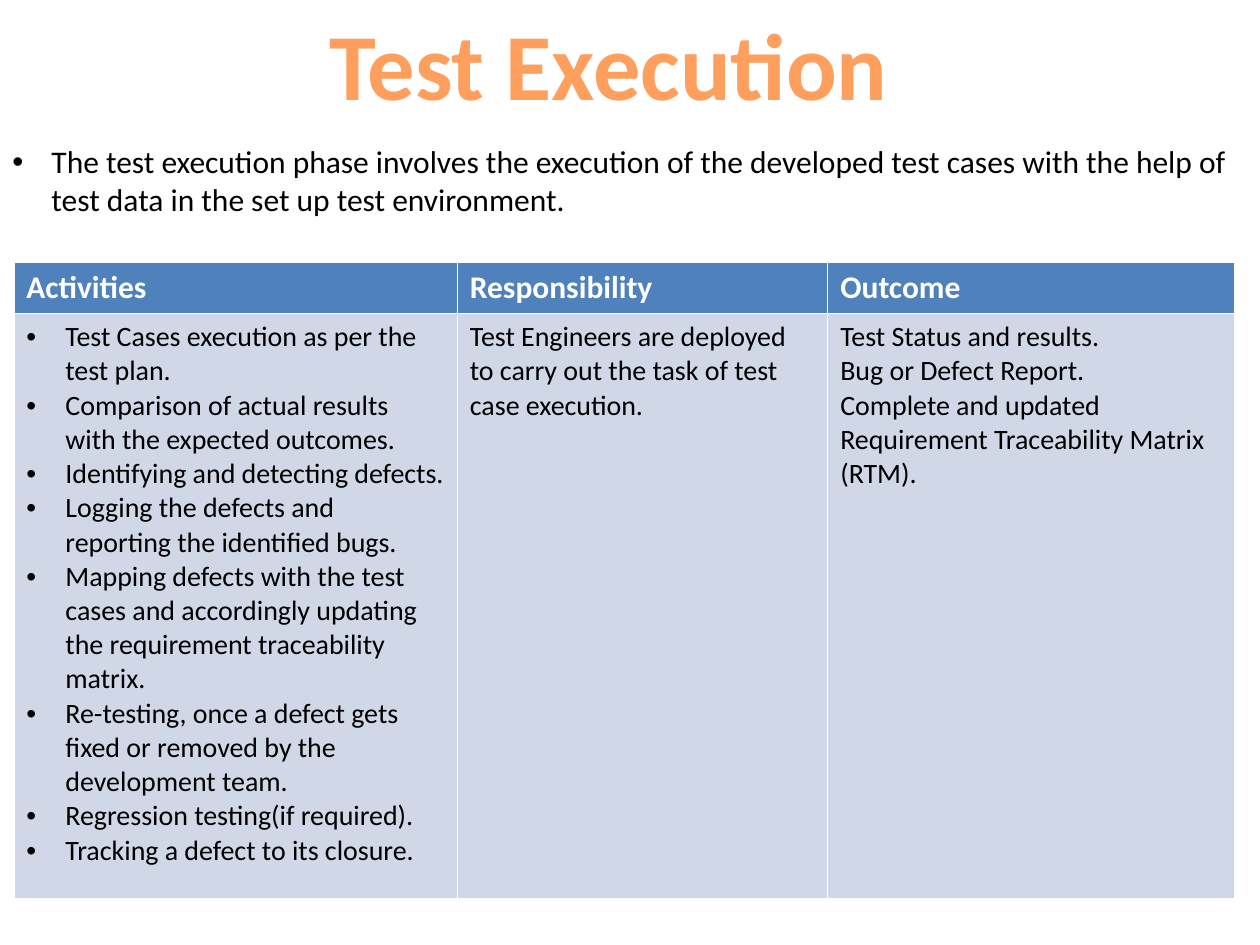
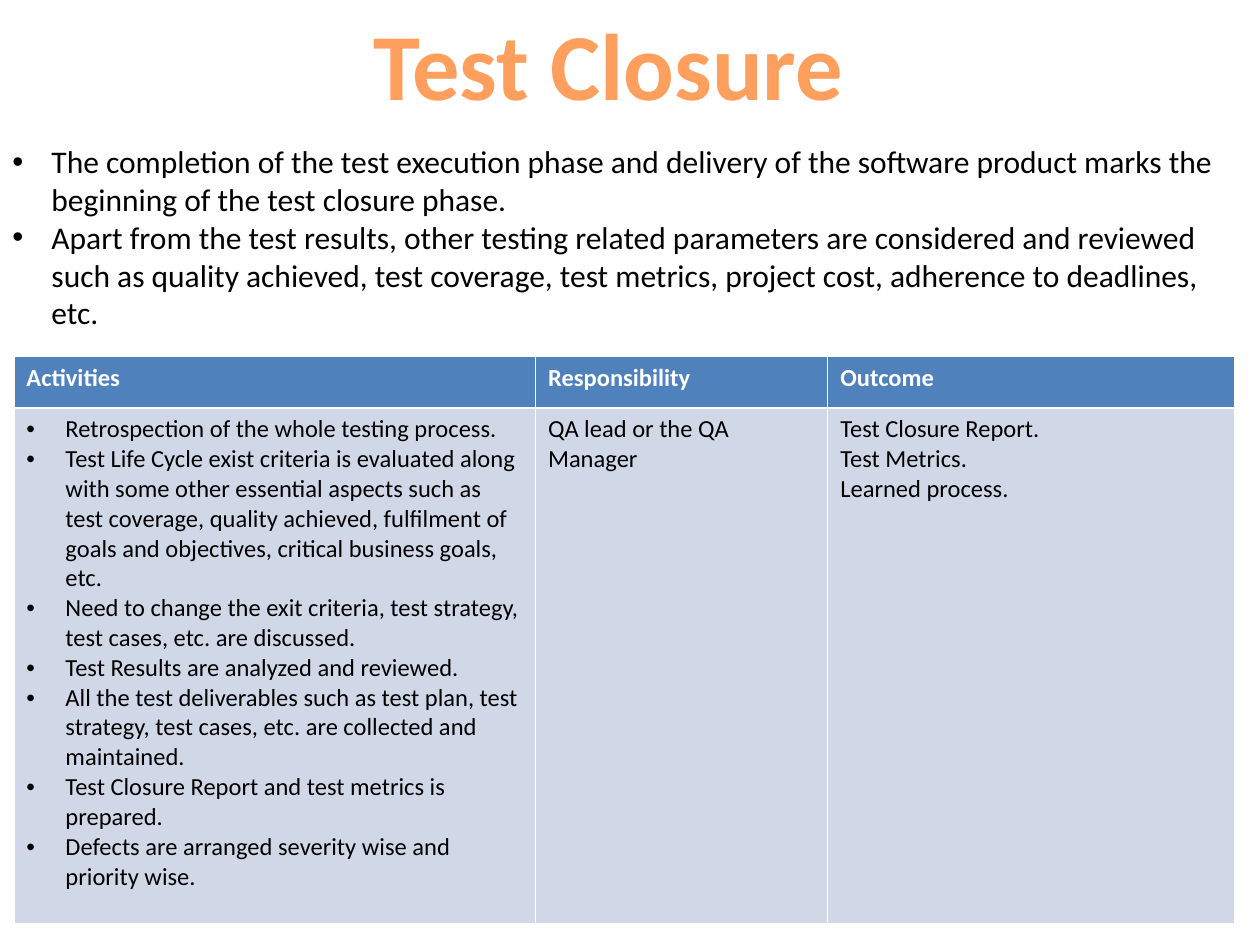
"""Build two slides on the closing phases of software testing."""
import pptx
import pptx.dml.color
import pptx.enum.text
import pptx.oxml.ns
import pptx.util
from lxml import etree
from pptx.util import Inches

FONT = "Calibri"
ORANGE = "FF9F5D"
BLACK = "000000"
WHITE = "FFFFFF"
HEADER_BLUE = "4F81BD"
BODY_BLUE = "D0D8E8"
TITLE_CENTER = 4.83
INDENT = 0.31
TABLE_LEFT = 0.11
HEADER_HEIGHT = 0.41
HEADINGS = ["Activities", "Responsibility", "Outcome"]

EXECUTION = {
    "title": "Test Execution",
    "title_width": 4.69,
    "intro_height": 0.71,
    "intro": [
        "The test execution phase involves the execution of the developed test cases "
        "with the help of test data in the set up test environment.",
    ],
    "table_top": 2.08,
    "body_height": 4.64,
    "column_widths": [3.52, 2.94, 3.23],
    "header_size": 18,
    "body_size": 16,
    "body": [
        [
            "Test Cases execution as per the test plan.",
            "Comparison of actual results with the expected outcomes.",
            "Identifying and detecting defects.",
            "Logging the defects and reporting the identified bugs.",
            "Mapping defects with the test cases and accordingly updating the "
            "requirement traceability matrix.",
            "Re-testing, once a defect gets fixed or removed by the development team.",
            "Regression testing(if required).",
            "Tracking a defect to its closure.",
        ],
        ["Test Engineers are deployed to carry out the task of test case execution."],
        [
            "Test Status and results.",
            "Bug or Defect Report.",
            "Complete and updated Requirement Traceability Matrix (RTM).",
        ],
    ],
}

CLOSURE = {
    "title": "Test Closure",
    "title_width": 3.96,
    "intro_height": 1.92,
    "intro": [
        "The completion of the test execution phase and delivery of the software "
        "product marks the beginning of the test closure phase.",
        "Apart from the test results, other testing related parameters are considered "
        "and reviewed such as quality achieved, test coverage, test metrics, project "
        "cost, adherence to deadlines, etc.",
    ],
    "table_top": 2.83,
    "body_height": 4.09,
    "column_widths": [4.14, 2.32, 3.23],
    "header_size": 14,
    "body_size": 14,
    "body": [
        [
            "Retrospection of the whole testing process.",
            "Test Life Cycle exist criteria is evaluated along with some other essential "
            "aspects such as test coverage, quality achieved, fulfilment of goals and "
            "objectives, critical business goals, etc.",
            "Need to change the exit criteria, test strategy, test cases, etc. are discussed.",
            "Test Results are analyzed and reviewed.",
            "All the test deliverables such as test plan, test strategy, test cases, etc. "
            "are collected and maintained.",
            "Test Closure Report and test metrics is prepared.",
            "Defects are arranged severity wise and priority wise.",
        ],
        ["QA lead or the QA Manager"],
        ["Test Closure Report.", "Test Metrics.", "Learned process."],
    ],
}


def color(hex_string):
    """Return the colour for a hex string."""
    return pptx.dml.color.RGBColor.from_string(hex_string)


def add_bullet(paragraph):
    """Give a paragraph a hanging bullet."""
    properties = paragraph._p.get_or_add_pPr()
    properties.set("marL", str(Inches(INDENT)))
    properties.set("indent", str(-Inches(INDENT)))
    qualify = pptx.oxml.ns.qn
    etree.SubElement(properties, qualify("a:buFont")).set("typeface", "Arial")
    etree.SubElement(properties, qualify("a:buChar")).set("char", "•")


def write_text(text_frame, lines, size=18, fill=BLACK, bold=False, bulleted=False,
               alignment=pptx.enum.text.PP_ALIGN.LEFT):
    """Write one formatted paragraph for each line."""
    for index, line in enumerate(lines):
        paragraph = text_frame.add_paragraph() if index else text_frame.paragraphs[0]
        paragraph.alignment = alignment
        if bulleted:
            add_bullet(paragraph)
        run = paragraph.add_run()
        run.text = line
        run.font.name = FONT
        run.font.size = pptx.util.Pt(size)
        run.font.bold = bold
        run.font.color.rgb = color(fill)


def set_title(slide, text, width):
    """Place and format the slide title."""
    title = slide.shapes.title
    title.left, title.top = Inches(TITLE_CENTER - width / 2), Inches(0)
    title.width, title.height = Inches(width), Inches(1.01)
    text_frame = title.text_frame
    text_frame.word_wrap = False
    text_frame.auto_size = pptx.enum.text.MSO_AUTO_SIZE.NONE
    text_frame.vertical_anchor = pptx.enum.text.MSO_ANCHOR.TOP
    write_text(text_frame, [text], size=54, fill=ORANGE, bold=True,
               alignment=pptx.enum.text.PP_ALIGN.CENTER)


def add_intro(slide, lines, height):
    """Add the bulleted introduction below the title."""
    box = slide.shapes.add_textbox(Inches(0), Inches(1.08), Inches(9.92), Inches(height))
    box.text_frame.word_wrap = True
    write_text(box.text_frame, lines, bulleted=True)


def fill_cell(cell, lines, background, **text_format):
    """Fill a table cell with a colour and text."""
    cell.fill.solid()
    cell.fill.fore_color.rgb = color(background)
    write_text(cell.text_frame, lines, **text_format)


def add_phase_table(slide, phase):
    """Add the table of activities, responsibility and outcome."""
    widths = phase["column_widths"]
    table = slide.shapes.add_table(
        2, len(widths), Inches(TABLE_LEFT), Inches(phase["table_top"]),
        Inches(sum(widths)), Inches(HEADER_HEIGHT + phase["body_height"])).table
    table.rows[0].height = Inches(HEADER_HEIGHT)
    table.rows[1].height = Inches(phase["body_height"])
    for index, (width, heading, lines) in enumerate(zip(widths, HEADINGS, phase["body"])):
        table.columns[index].width = Inches(width)
        fill_cell(table.cell(0, index), [heading], HEADER_BLUE,
                  size=phase["header_size"], fill=WHITE, bold=True)
        fill_cell(table.cell(1, index), lines, BODY_BLUE,
                  size=phase["body_size"], bulleted=index == 0)


def add_phase_slide(presentation, phase):
    """Add the slide for one testing phase."""
    slide = presentation.slides.add_slide(presentation.slide_layouts[5])
    add_intro(slide, phase["intro"], phase["intro_height"])
    set_title(slide, phase["title"], phase["title_width"])
    add_phase_table(slide, phase)


def main():
    """Build and save the presentation."""
    presentation = pptx.Presentation()
    presentation.slide_width = Inches(10)
    presentation.slide_height = Inches(7.5)
    for phase in (EXECUTION, CLOSURE):
        add_phase_slide(presentation, phase)
    presentation.save("out.pptx")


if __name__ == "__main__":
    main()
